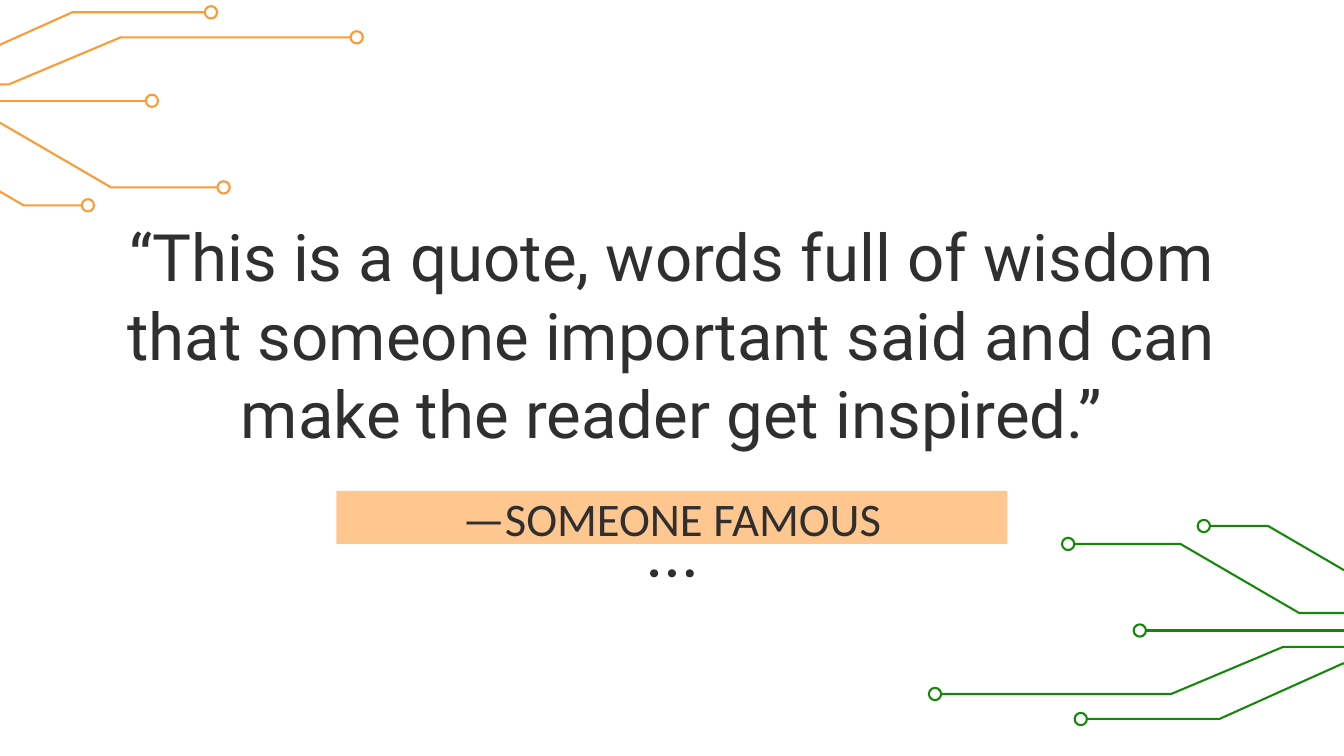
from lxml.etree import SubElement
from pptx import Presentation
from pptx.dml.color import RGBColor
from pptx.enum.shapes import MSO_CONNECTOR as Connector, MSO_SHAPE as Shape
from pptx.enum.text import MSO_ANCHOR as Anchor, PP_ALIGN as Align
from pptx.oxml.ns import qn
from pptx.util import Pt

ORANGE = RGBColor(0xFF, 0x99, 0x33)
GREEN = RGBColor(0x13, 0x88, 0x08)
INK = RGBColor(0x30, 0x2F, 0x2F)

RING = 6.6
STROKE = 1.1
TRACES = [
    [(119.8, 100.4), (59.6, 100.4), (-4, 63.4), (-124.6, 63.4)],
    [(47.1, 110), (12.6, 110), (-51.4, 72.7), (-164.2, 72.7)],
    [(81.4, 54), (-113.8, 54)],
    [(191.1, 20), (64.6, 20), (4.7, 45.2), (-95, 45.2)],
    [(113, 6.6), (38.7, 6.6), (-27.4, 36.3), (-121.6, 36.3)],
]


def write(box, text, font, size, anchor):
    frame = box.text_frame
    frame.word_wrap = True
    frame.vertical_anchor = anchor
    frame.margin_left = frame.margin_right = Pt(7.2)
    frame.margin_top = frame.margin_bottom = Pt(7.2)
    para = frame.paragraphs[0]
    para.text = text
    para.alignment = Align.CENTER
    para.font.name = font
    para.font.size = Pt(size)
    para.font.color.rgb = INK


def add_author(page, left, top, width, height):
    band = page.shapes.add_shape(Shape.RECTANGLE, Pt(left), Pt(top), Pt(width), Pt(height))
    band.shadow.inherit = False
    band.fill.solid()
    band.fill.fore_color.rgb = ORANGE
    color = band.fill._xPr.find(qn("a:solidFill"))[0]
    SubElement(color, qn("a:alpha"), val="54000")
    band.line.fill.background()
    write(band, "—SOMEONE FAMOUS", "Calibri", 25, Anchor.MIDDLE)


def add_quote(page, left, top, width, height):
    box = page.shapes.add_textbox(Pt(left), Pt(top), Pt(width), Pt(height))
    quote = ("“This is a quote, words full of wisdom that someone important "
             "said and can make the reader get inspired.”")
    write(box, quote, "Roboto", 35, Anchor.BOTTOM)


def add_dots(page, left, top, width, size, count=3):
    group = page.shapes.add_group_shape()
    step = (width - size) / (count - 1)
    for index in range(count):
        dot = group.shapes.add_shape(
            Shape.OVAL, Pt(left + index * step), Pt(top), Pt(size), Pt(size))
        dot.shadow.inherit = False
        dot.fill.solid()
        dot.fill.fore_color.rgb = INK
        dot.line.fill.background()


def add_circuit(page, left, top, direction, color):
    shapes = page.shapes.add_group_shape().shapes

    def draw_line(points):
        if len(points) == 2:
            (x1, y1), (x2, y2) = points
            line = shapes.add_connector(Connector.STRAIGHT, Pt(x1), Pt(y1), Pt(x2), Pt(y2))
            SubElement(line._element.spPr, qn("a:effectLst"))
        else:
            corners = [(Pt(x), Pt(y)) for x, y in points]
            builder = shapes.build_freeform(*corners[0])
            builder.add_line_segments(corners[1:], close=False)
            line = builder.convert_to_shape()
            line.shadow.inherit = False
            line.fill.background()
        return line

    for trace in TRACES:
        (x, y), *bends = [(left + direction * x, top + direction * y) for x, y in trace]
        line = draw_line([(x - direction * RING / 2, y), *bends])
        ring = shapes.add_shape(
            Shape.OVAL, Pt(x - RING / 2), Pt(y - RING / 2), Pt(RING), Pt(RING))
        ring.shadow.inherit = False
        ring.fill.background()
        for part in (line, ring):
            part.line.color.rgb = color
            part.line.width = Pt(STROKE)


def main():
    deck = Presentation()
    deck.slide_width, deck.slide_height = Pt(720), Pt(405)
    page = deck.slides.add_slide(deck.slide_layouts[6])
    add_author(page, 180.2, 263, 359.5, 28.4)
    add_quote(page, 58.8, 82.8, 602.4, 166.3)
    add_dots(page, 348.3, 305, 23.4, 4.3)
    add_circuit(page, 692, 391.8, -1, GREEN)
    add_circuit(page, 0, 0, 1, ORANGE)
    deck.save("out.pptx")


if __name__ == "__main__":
    main()
